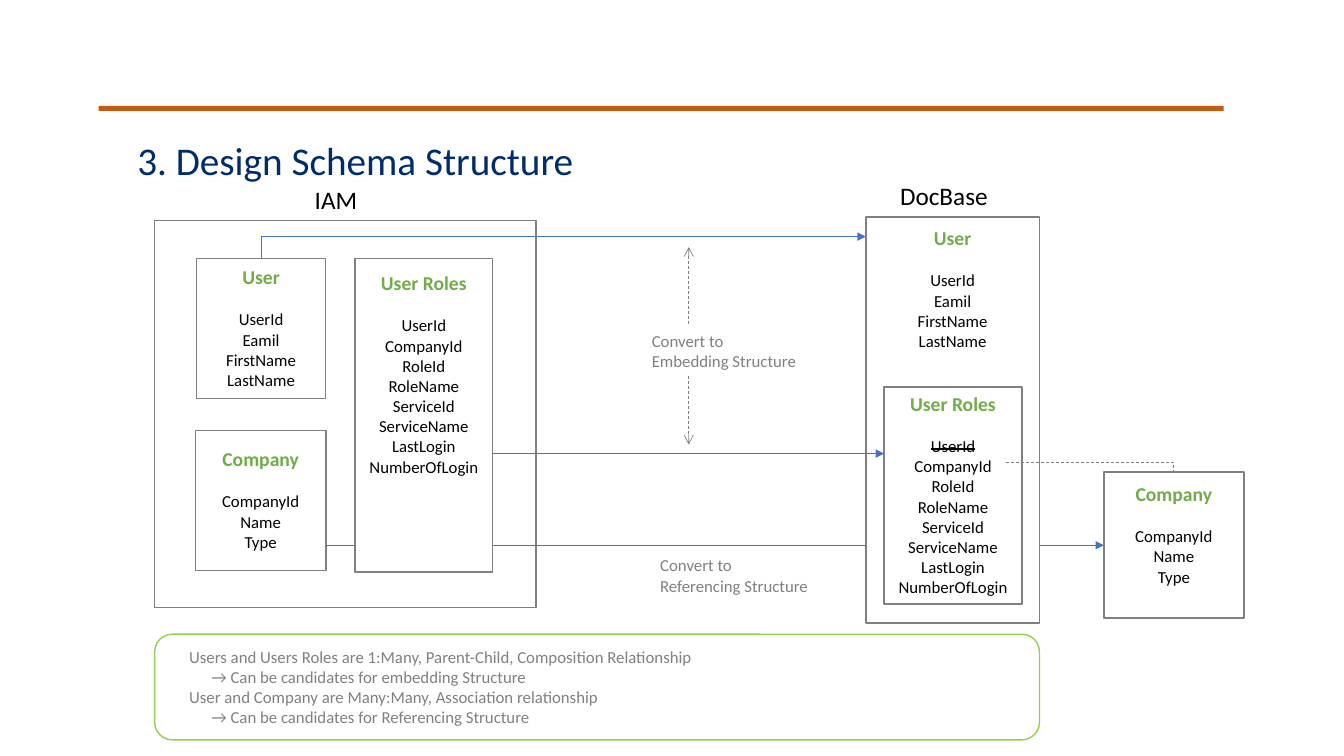
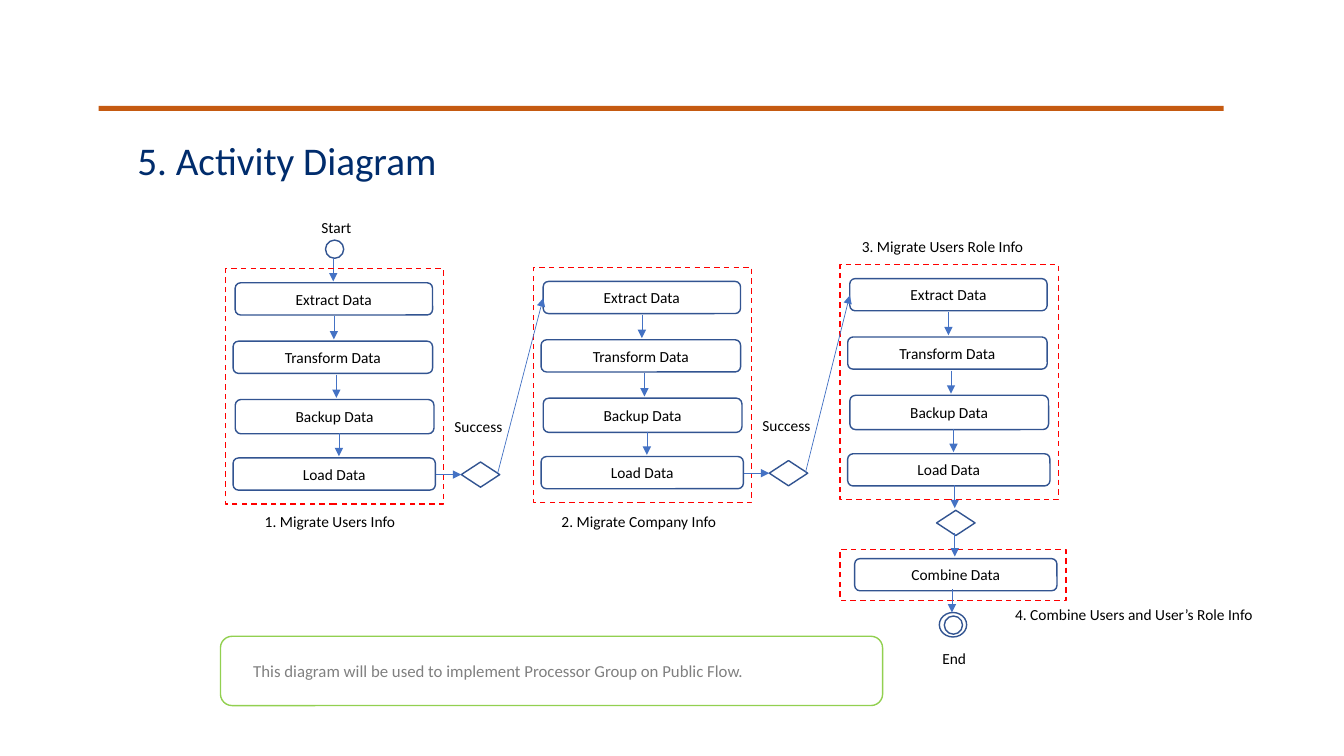
"""Build two slides: a schema conversion diagram and a migration activity diagram."""
from lxml import etree
from pptx import Presentation
from pptx.dml.color import RGBColor
from pptx.enum.dml import MSO_LINE
from pptx.enum.shapes import MSO_CONNECTOR, MSO_SHAPE
from pptx.enum.text import MSO_ANCHOR, PP_ALIGN
from pptx.oxml.ns import qn
from pptx.util import Pt

BLACK, WHITE, GRAY = "000000", "FFFFFF", "808080"
ORANGE, NAVY, GREEN, LIME = "C55A11", "002C6C", "70AD47", "92D050"
BLUE, STEEL, RED = "4472C4", "325491", "FF0000"
BOX, ROUND, OVAL, DIAMOND = (MSO_SHAPE.RECTANGLE, MSO_SHAPE.ROUNDED_RECTANGLE,
                             MSO_SHAPE.OVAL, MSO_SHAPE.DIAMOND)


def block(slide, text, bounds, kind=None, fill=None, line=None, dash=None, size=11, color=BLACK,
          align=PP_ALIGN.LEFT, anchor=MSO_ANCHOR.TOP, wrap=True, left=7.2, top=3.6,
          heading=False, struck="", indent=0):
    """Add a shape, or a text box when kind is None, with formatted text."""
    lengths = [Pt(value) for value in bounds]
    if kind is None:
        shape = slide.shapes.add_textbox(*lengths)
    else:
        shape = slide.shapes.add_shape(kind, *lengths)
        shape.shadow.inherit = False
        if fill:
            shape.fill.solid()
            shape.fill.fore_color.rgb = RGBColor.from_string(fill)
        else:
            shape.fill.background()
        if line:
            shape.line.color.rgb = RGBColor.from_string(line)
            shape.line.width = Pt(1)
            shape.line.dash_style = dash
        else:
            shape.line.fill.background()
    if not text:
        return
    frame = shape.text_frame
    frame.word_wrap = wrap
    frame.vertical_anchor = anchor
    frame.margin_left, frame.margin_top = Pt(left), Pt(top)
    for index, words in enumerate(text.split("\n")):
        paragraph = frame.paragraphs[0] if index == 0 else frame.add_paragraph()
        paragraph.alignment = align
        run = paragraph.add_run()
        run.text = words
        is_heading = heading and index == 0
        run.font.name = "Calibri"
        run.font.size = Pt(14 if is_heading else size)
        run.font.bold = is_heading
        run.font.color.rgb = RGBColor.from_string(GREEN if is_heading else color)
        if is_heading:
            paragraph.space_after = Pt(14.5)
        if words == struck:
            run.font._element.set("strike", "sngStrike")
        if indent and words.startswith("→"):
            paragraph._p.get_or_add_pPr().set("marL", str(int(Pt(indent))))


def link(slide, start, end, color=BLUE, dash=None, head=None, tail="triangle", bent=False):
    """Add a straight or one-bend connector with optional arrowheads."""
    route = MSO_CONNECTOR.ELBOW if bent else MSO_CONNECTOR.STRAIGHT
    connector = slide.shapes.add_connector(route, *[Pt(value) for value in (*start, *end)])
    connector.line.color.rgb = RGBColor.from_string(color)
    connector.line.width = Pt(0.5)
    connector.line.dash_style = dash
    properties = connector._element.spPr
    if bent:
        properties.find(qn("a:prstGeom")).set("prst", "bentConnector2")
    for tag, arrow in (("a:headEnd", head), ("a:tailEnd", tail)):
        if arrow:
            etree.SubElement(connector.line._get_or_add_ln(), qn(tag), type=arrow)
    etree.SubElement(properties, qn("a:effectLst"))


deck = Presentation()
deck.slide_width, deck.slide_height = Pt(960), Pt(540)
schema, activity = [deck.slides.add_slide(deck.slide_layouts[6]) for _ in range(2)]
for slide, title in ((schema, "3. Design Schema Structure"), (activity, "5. Activity Diagram")):
    block(slide, "", (70.5, 75.6, 803.5, 3.6), BOX, fill=ORANGE)
    block(slide, title, (91, 93.6, 374, 41), size=28, color=NAVY)

USER = "User\nUserId\nEamil\nFirstName\nLastName"
COMPANY = "Company\nCompanyId\nName\nType"
ROLES = ("User Roles\nUserId\nCompanyId\nRoleId\nRoleName\nServiceId\nServiceName\n"
         "LastLogin\nNumberOfLogin")
entity = dict(kind=BOX, line=GRAY, size=12, align=PP_ALIGN.CENTER, wrap=False, heading=True)
caption = dict(size=18, align=PP_ALIGN.CENTER, wrap=False)
convert = dict(kind=BOX, fill=WHITE, size=12, color=GRAY)
note = dict(kind=ROUND, line=LIME, size=12, color=GRAY, anchor=MSO_ANCHOR.MIDDLE,
            left=21, indent=16)

block(schema, "IAM", (217.5, 128, 45, 29), **caption)
block(schema, "DocBase", (630, 125.5, 88.5, 29), **caption)
block(schema, "", (110.5, 157.5, 272.5, 276.5), BOX, line=GRAY)
block(schema, USER, (140.5, 184.5, 92, 100), top=5, **entity)
block(schema, COMPANY, (139.5, 307.5, 93.5, 100), top=12, **entity)
block(schema, COMPANY, (788.5, 337, 100, 104.5), top=7.4, **entity)
link(schema, (618.5, 169), (186.5, 184.5), head="triangle", tail=None, bent=True)
link(schema, (233, 389.5), (788.5, 389.5))
block(schema, USER, (618.5, 155, 124, 290), fill=WHITE, top=6.6, **entity)
block(schema, ROLES, (631.5, 276.5, 98.5, 155), fill=WHITE, top=3.6, struck="UserId", **entity)
link(schema, (352, 324), (631.5, 324))
block(schema, ROLES, (253.5, 184.5, 98.5, 224), fill=WHITE, top=9.3, **entity)
link(schema, (492, 176.5), (492, 317.5), GRAY, MSO_LINE.DASH, "arrow", "arrow")
block(schema, "Convert to\nEmbedding Structure", (458.5, 232.5, 119, 36), **convert)
block(schema, "Convert to\nReferencing Structure", (464.5, 393, 124, 36), **convert)
block(schema, "Users and Users Roles are 1:Many, Parent-Child, Composition Relationship\n"
              "→ Can be candidates for embedding Structure\n"
              "User and Company are Many:Many, Association relationship\n"
              "→ Can be candidates for Referencing Structure", (110.5, 453, 632, 75.5), **note)
link(schema, (718.5, 330), (838, 337), GRAY, MSO_LINE.DASH, tail=None, bent=True)

step = dict(kind=ROUND, line=STEEL, align=PP_ALIGN.CENTER, anchor=MSO_ANCHOR.MIDDLE)
group = dict(kind=BOX, line=RED, dash=MSO_LINE.DASH)
PITCH = 41.7
STEPS = (("Extract Data", 7, 141, 23), ("Transform Data", 5.5, 142.5, 23),
         ("Backup Data", 7, 142, 24.5), ("Load Data", 5.5, 144.5, 23))
stages = ((161, 192), (381, 191), (600, 189))

block(activity, "Start", (222.5, 152, 49, 21))
block(activity, "", (232.5, 171.5, 13, 13), OVAL, line=STEEL)
link(activity, (238, 184.5), (238, 201))
for x, y in stages:
    for row, (label, dx, width, height) in enumerate(STEPS):
        block(activity, label, (x + dx, y + 10 + PITCH * row, width, height), **step)
    for row in range(len(STEPS) - 1):
        arrow_x, arrow_y = x + 77.5 + 1.8 * row, y + 34 + PITCH * row
        link(activity, (arrow_x, arrow_y), (arrow_x, arrow_y + 16.5))
    block(activity, "", (x, y, 156, 168), **group)
for (x, y), (next_x, next_y) in zip(stages, stages[1:]):
    block(activity, "", (x + 168.5, y + 138, 27.5, 18), DIAMOND, line=STEEL)
    link(activity, (x + 150.5, y + 147), (x + 168.5, y + 147))
    link(activity, (x + 194.5, y + 146), (next_x + 7, next_y + 22))
    block(activity, "Success", (x + 156.5, y + 102.5, 49, 21))
for label, bounds in (("1. Migrate Users Info", (182, 362, 117.5, 21)),
                      ("2. Migrate Company Info", (394, 362, 135.5, 21)),
                      ("3. Migrate Users Role Info", (608.5, 165.5, 182, 21)),
                      ("4. Combine Users and User’s Role Info", (718, 428.5, 188, 21)),
                      ("End", (666, 460, 40, 21))):
    block(activity, label, bounds)

block(activity, "", (674.5, 440, 13, 13), OVAL, line=STEEL)
block(activity, "", (671, 437.5, 19.5, 17.5), OVAL, line=STEEL)
block(activity, "", (600, 392.5, 161.5, 36.5), **group)
block(activity, "Combine Data", (610.5, 399, 144.5, 23), **step)
block(activity, "", (669, 364.5, 27.5, 18), DIAMOND, line=STEEL)
for x, y in ((682, 346.5), (682, 381), (680, 421)):
    link(activity, (x, y), (x, y + 16.5))
block(activity, "This diagram will be used to implement Processor Group on Public Flow.",
      (157.5, 454.5, 473, 49.5), **note)

deck.save("out.pptx")
